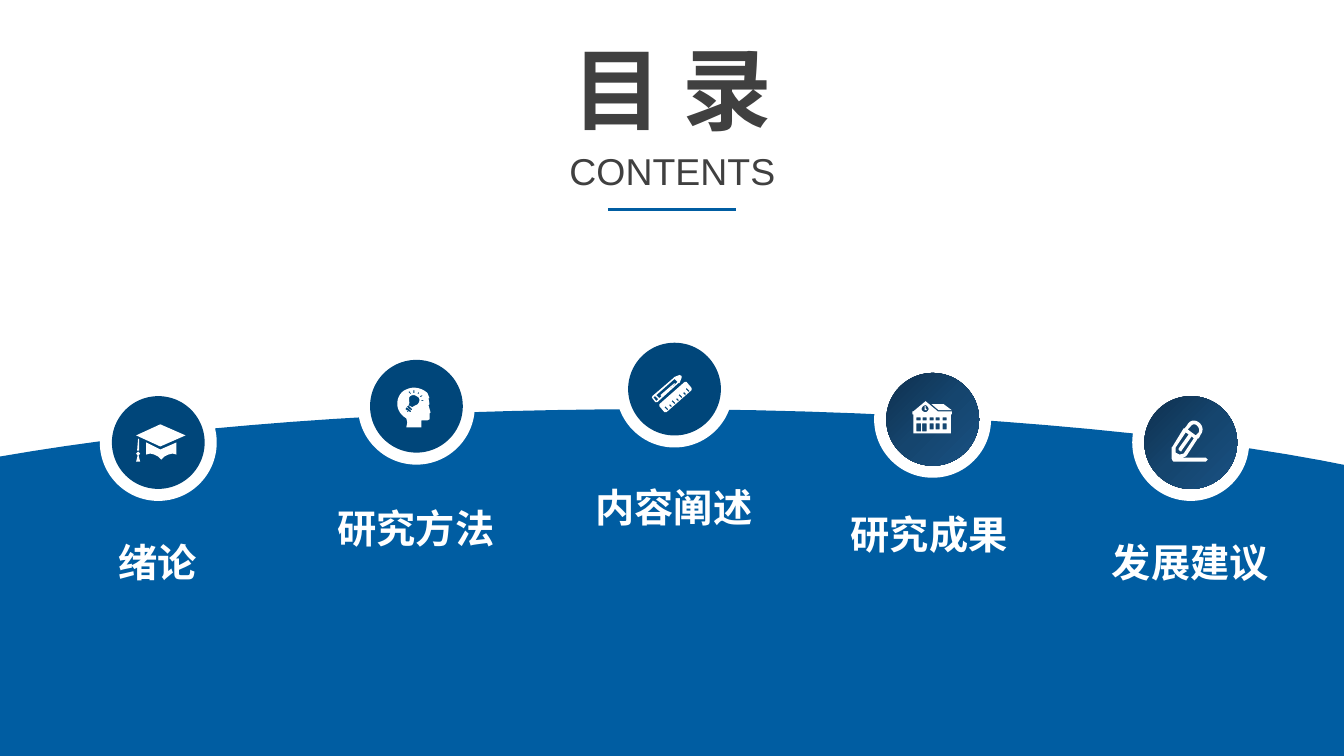
from copy import deepcopy
from dataclasses import dataclass

from lxml import etree
from pptx import Presentation
from pptx.dml.color import RGBColor
from pptx.enum.shapes import MSO_CONNECTOR, MSO_SHAPE
from pptx.enum.text import MSO_ANCHOR, MSO_AUTO_SIZE, PP_ALIGN
from pptx.oxml.ns import qn
from pptx.util import Inches, Pt

OVAL, STRAIGHT = MSO_SHAPE.OVAL, MSO_CONNECTOR.STRAIGHT
CENTER, TOP, GROW = PP_ALIGN.CENTER, MSO_ANCHOR.TOP, MSO_AUTO_SIZE.SHAPE_TO_FIT_TEXT


@dataclass(frozen=True)
class Theme:
    blue: str = "005DA2"
    navy: str = "00467A"
    gradient: tuple = ("0F304E", "15456E", "195183")
    white: str = "FFFFFF"
    ink: str = "404040"
    cjk: str = "Noto Sans CJK SC"
    latin: str = "Arial"
    title_size: float = 64
    subtitle_size: float = 26.7
    label_size: float = 28


THEME = Theme()
LABEL = dict(name=THEME.cjk, size=THEME.label_size, bold=True, color=THEME.white)
TITLE = dict(name=THEME.cjk, size=THEME.title_size, bold=True, color=THEME.ink)
SUBTITLE = dict(name=THEME.latin, size=THEME.subtitle_size, bold=False, color=THEME.ink)


def rect(x, y, w, h):
    return [(x, y), (x + w, y), (x + w, y + h), (x, y + h)]


def ruler_tick(i):
    x, y, length = 17 + 3.5 * i, 34 - 3 * i, 2 if i % 2 else 3
    return [(x, y), (x - length, y - length), (x - length - 1, y - length + 1), (x - 1, y + 1)]


# Outlines in hundredths of an inch; a step of six numbers is a cubic curve
CAP = [
    [(10, 30), (14, 29), (18, 30), (22, 32), (25, 35), (28, 32), (32, 30), (36, 29),
     (40, 30), (40, 18), (24, 25), (10, 18)],
    [(24, 0), (0, 11), (24, 22), (49, 11)],
    [(2, 14), (1, 26), (3, 26), (3, 15)],
    [(4, 37), (2.5, 31), (4, 29), (2, 27), (0, 29), (1.5, 31), (0, 37)],
]
HEAD = [
    [(14, 41), (15, 36), (14, 32), (0, 24, 4, 6, 15, 3), (21, 0, 30, 2, 35, 7), (37, 12),
     (36, 12), (37, 18), (36, 19), (38, 26), (37, 27), (37, 33), (35, 34), (29, 34), (29, 41)],
    [(24, 10), (22, 8, 18, 9, 17, 11), (16, 14, 18, 17, 16, 19), (20, 21),
     (22, 19, 25, 19, 26, 17), (28, 14, 27, 11, 24, 10)],
    [(19, 25), (15, 21), (14, 21), (13, 23), (18, 26)],
    [(20, 23), (16, 19), (14, 21), (19, 24)],
    [(14, 24), (15, 26), (17, 26)],
    [(29, 15), (31, 15), (31, 14), (29, 14)],
    [(19, 8), (17, 5), (16, 6), (18, 8)],
    [(22, 7), (22, 4), (21, 4), (21, 7)],
    [(28, 11), (30, 10), (30, 9), (27, 10)],
    [(26, 8), (27, 6), (26, 6), (25, 8)],
]
PENCIL_RULER = [
    [(4, 27), (1, 23), (0, 23, 1, 22, 1, 21), (22, 3), (23, 2), (28, 0), (30, 1), (30, 3),
     (28, 8), (27, 8), (6, 27)],
    [(26, 7), (23, 4), (5, 20), (8, 23)],
    [(10, 21), (9, 20), (23, 8), (23, 9)],
    [(7, 24), (4, 21), (2, 22), (5, 26)],
    [(13, 37), (8, 31), (8, 29), (33, 7), (35, 7), (40, 13), (40, 15), (15, 37)],
] + [ruler_tick(i) for i in range(7)]
SCHOOL = [
    [(19, 4), (31, 4), (39, 10), (26, 10)],
    [(38, 14), (38, 33), (1, 33), (1, 14), (0, 14), (0, 11), (1, 11), (13, 1), (25, 11),
     (39, 11), (39, 14)],
    [(13, 5), (11, 5, 9, 7, 9, 9), (9, 10, 11, 12, 13, 12), (14, 12, 16, 10, 16, 9),
     (16, 7, 14, 5, 13, 5)],
    [(13, 10), (12, 10), (12, 6), (13, 6), (13, 8), (14, 9), (14, 10)],
    rect(4, 23, 4.5, 8), rect(9.5, 23, 4.5, 8),
] + [rect(x, 17, 4, 3) for x in (4, 10, 17, 23, 30)] + [rect(x, 23, 4, 6) for x in (17, 23, 30)]
CLIP = [
    [(34, 38), (10, 38), (14, 37), (15, 36), (26, 19), (27, 19), (29, 15),
     (32, 11, 31, 6, 27, 3), (23, 0, 18, 1, 16, 5), (13, 9), (12, 9), (1, 27), (0, 28),
     (0, 39), (1, 41), (2, 42), (34, 42), (36, 40)],
    [(19, 7), (20, 5, 23, 4, 25, 6), (27, 8, 28, 10, 27, 13), (24, 16), (16, 10)],
    [(4, 33), (4, 28), (14, 13), (17, 15), (7, 29), (7, 30, 7, 31, 8, 31),
     (9, 32, 10, 32, 10, 31), (20, 17), (22, 19), (12, 34), (8, 35)],
]
WAVE = [[(1342, 463), (1178, 429, 926, 406, 645, 406), (391, 406, 164, 424, 0, 453),
         (-3, 770), (1342, 766)]]

# Badge top, disc fill, icon, icon left and top, label, label left, top and width
SECTIONS = [
    (3.81, THEME.navy, CAP, 1.35, 4.21, "绪论", 1.07, 5.29, 0.99),
    (3.45, THEME.navy, HEAD, 3.89, 3.83, "研究方法", 3.24, 4.95, 1.77),
    (3.28, THEME.navy, PENCIL_RULER, 6.46, 3.72, "内容阐述", 5.8, 4.75, 1.77),
    (3.58, THEME.gradient, SCHOOL, 9.05, 3.97, "研究成果", 8.33, 5.01, 1.77),
    (3.81, THEME.gradient, CLIP, 11.62, 4.16, "发展建议", 10.92, 5.29, 1.77),
]


def flatten(steps, parts=16):
    points = [steps[0]]
    for step in steps[1:]:
        if len(step) == 2:
            points.append(step)
            continue
        start, a, b, end = points[-1], step[:2], step[2:4], step[4:]
        for i in range(1, parts + 1):
            t = i / parts
            weights = ((1 - t) ** 3, 3 * t * (1 - t) ** 2, 3 * t * t * (1 - t), t ** 3)
            points.append(tuple(sum(w * q[k] for w, q in zip(weights, (start, a, b, end)))
                                for k in (0, 1)))
    return points


def paint(sp, fill):
    sp.shadow.inherit = False
    sp.line.fill.background()
    if isinstance(fill, str):
        sp.fill.solid()
        sp.fill.fore_color.rgb = RGBColor.from_string(fill)
        return
    sp.fill.gradient()
    sp.fill.gradient_angle = 315
    stops = sp._element.spPr.find(".//" + qn("a:gsLst"))
    stops.insert(1, deepcopy(stops[0]))
    for stop, position, color in zip(sp.fill.gradient_stops, (0, 0.5, 1), fill):
        stop.position = position
        stop.color.rgb = RGBColor.from_string(color)


def add_outline(shapes, outlines, x, y, fill):
    contours = [[(Inches(x + px / 100), Inches(y + py / 100)) for px, py in flatten(steps)]
                for steps in outlines]
    builder = shapes.build_freeform(*contours[0][0])
    for i, points in enumerate(contours):
        if i:
            builder.move_to(*points[0])
        builder.add_line_segments(points[1:], close=True)
    paint(builder.convert_to_shape(), fill)


def add_disc(shapes, x, y, size, fill):
    paint(shapes.add_shape(OVAL, Inches(x), Inches(y), Inches(size), Inches(size)), fill)


def add_badge(s, x, y, fill, icon, icon_x, icon_y):
    shapes = s.shapes.add_group_shape().shapes
    add_disc(shapes, x, y, 1.16, THEME.white)
    add_disc(shapes, x + 0.12, y + 0.12, 0.92, fill)
    add_outline(shapes, icon, icon_x, icon_y, THEME.white)


def write(sp, text, style):
    tf = sp.text_frame
    for name, value in dict(word_wrap=False, auto_size=GROW, vertical_anchor=TOP).items():
        setattr(tf, name, value)
    p = tf.paragraphs[0]
    p.alignment = CENTER
    r = p.add_run()
    r.text = text
    for name, value in dict(name=style["name"], size=Pt(style["size"]), bold=style["bold"]).items():
        setattr(r.font, name, value)
    r.font.color.rgb = RGBColor.from_string(style["color"])
    etree.SubElement(r.font._element, qn("a:ea"), typeface=style["name"])


def add_label(s, text, x, y, w, h, style):
    write(s.shapes.add_textbox(Inches(x), Inches(y), Inches(w), Inches(h)), text, style)


def add_heading(s):
    title = s.shapes.title
    frame = dict(left=5.53, top=0.29, width=2.27, height=1.18)
    for name, value in frame.items():
        setattr(title, name, Inches(value))
    write(title, "目 录", TITLE)
    add_label(s, "CONTENTS", 5.54, 1.42, 2.26, 0.55, SUBTITLE)
    rule = s.shapes.add_connector(STRAIGHT, Inches(6.03), Inches(2.08), Inches(7.3), Inches(2.08))
    rule.line.color.rgb = RGBColor.from_string(THEME.blue)
    rule.line.width = Pt(2.25)
    etree.SubElement(rule._element.spPr, qn("a:effectLst"))


def main():
    prs = Presentation()
    prs.slide_width, prs.slide_height = Inches(13.33), Inches(7.5)
    s = prs.slides.add_slide(prs.slide_layouts[5])
    add_heading(s)
    # Curved ground, then one badge and label for each section
    add_outline(s.shapes, WAVE, 0, 0, THEME.blue)
    for i, (top, fill, icon, icon_x, icon_y, text, x, y, w) in enumerate(SECTIONS):
        add_badge(s, 0.99 + 2.56 * i, top, fill, icon, icon_x, icon_y)
        add_label(s, text, x, y, w, 0.57, LABEL)
    prs.save("out.pptx")


if __name__ == "__main__":
    main()
